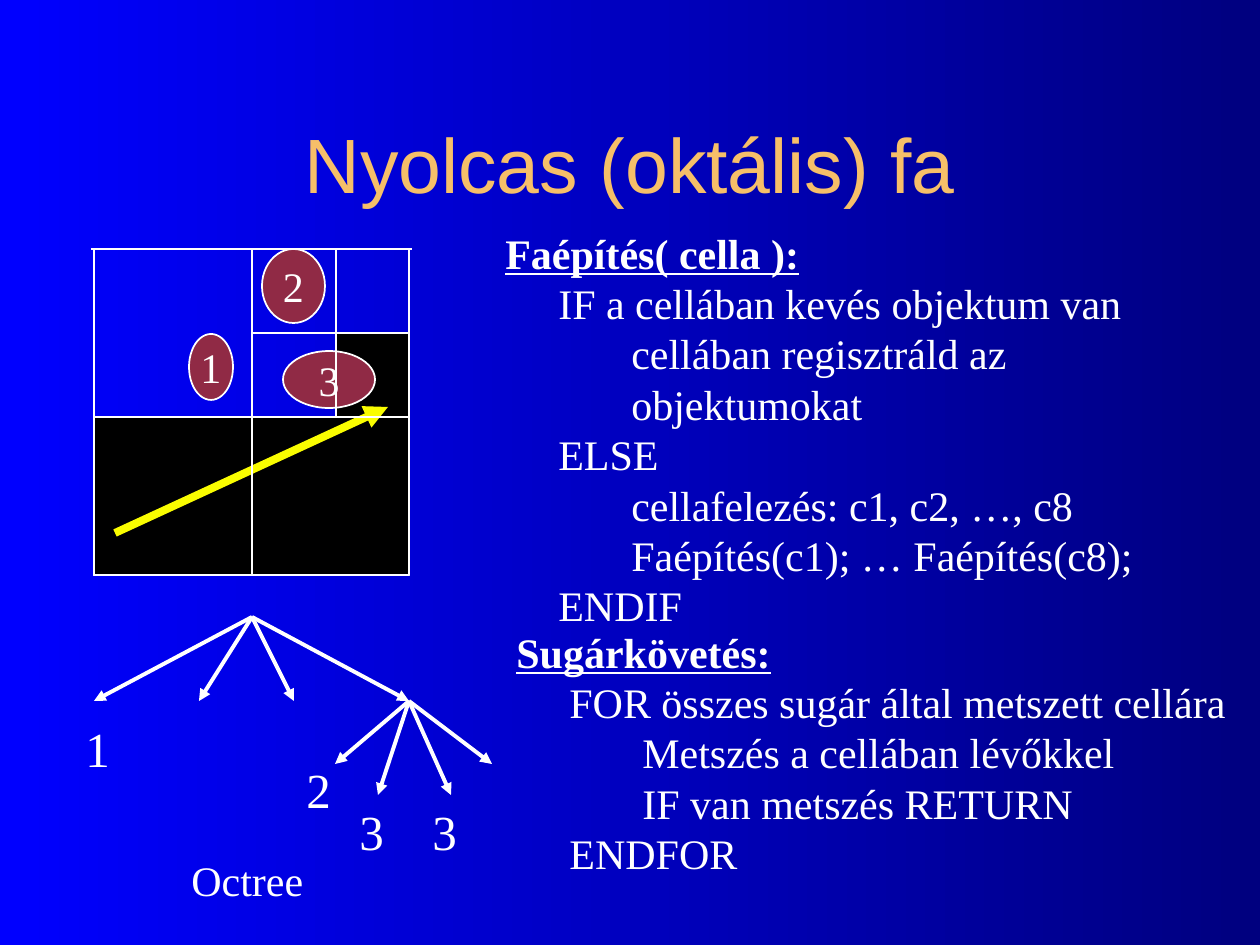
from dataclasses import dataclass

from lxml import etree
from pptx import Presentation
from pptx import util as u
from pptx.dml.color import RGBColor
from pptx.enum import shapes, text
from pptx.oxml import ns

SCALE = 914400 / 126


@dataclass(frozen=True)
class Theme:
    """Colours, fonts and sizes of the slide."""
    night: str = "00007F"
    blue: str = "0000FF"
    gold: str = "F6BF69"
    white: str = "FFFFFF"
    black: str = "000000"
    wine: str = "902A45"
    yellow: str = "FAFD00"
    heading: str = "Arial"
    body: str = "Times New Roman"
    title_size: int = 44
    body_size: int = 24
    label_size: int = 28
    thin: float = 1
    branch: float = 2.25
    ray: float = 4.5


THEME = Theme()


def px(length):
    """Turn px into EMU."""
    return u.Emu(round(length * SCALE))


def rgb(code):
    """Turn a hex code into a colour."""
    return RGBColor.from_string(code)


def style(paragraph, face, size, colour):
    """Format the runs of one paragraph."""
    for run in paragraph.runs:
        run.font.name, run.font.size = face, u.Pt(size)
        run.font.color.rgb = rgb(colour)


def style_body(paragraph, size):
    """Format a white body paragraph with its fixed leading."""
    style(paragraph, THEME.body, size, THEME.white)
    paragraph.line_spacing = u.Pt(size * 1.2)


def add_label(slide, box, words, size):
    """Place a short unwrapped label."""
    frame = slide.shapes.add_textbox(*map(px, box)).text_frame
    frame.word_wrap = False
    frame.text = words
    style_body(frame.paragraphs[0], size)


def add_outlined(slide, kind, box, fill=None):
    """Place a thinly outlined shape, filled or hollow."""
    figure = slide.shapes.add_shape(kind, *map(px, box))
    figure.shadow.inherit = False
    if fill:
        figure.fill.solid()
        figure.fill.fore_color.rgb = rgb(fill)
    else:
        figure.fill.background()
    figure.line.color.rgb = rgb(THEME.white)
    figure.line.width = u.Pt(THEME.thin)
    return figure


def add_line(slide, start, end, colour, width, arrow=True):
    """Draw a straight line, with an arrowhead at its end if wanted."""
    line = slide.shapes.add_connector(
        shapes.MSO_CONNECTOR.STRAIGHT, *map(px, (*start, *end)))
    line.line.color.rgb = rgb(colour)
    line.line.width = u.Pt(width)
    if arrow:
        outline = line.line._get_or_add_ln()
        etree.SubElement(outline, ns.qn("a:tailEnd"), type="triangle")
    etree.SubElement(line._element.spPr, ns.qn("a:effectLst"))


def paint_background(slide):
    """Fill the slide from blue on the left to dark blue on the right."""
    fill = slide.background.fill
    fill.gradient()
    fill.gradient_angle = 0
    for stop, colour in zip(fill.gradient_stops, (THEME.blue, THEME.night)):
        stop.color.rgb = rgb(colour)


def place_title(slide, box, words):
    """Place the slide title."""
    title = slide.shapes.title
    title.left, title.top, title.width, title.height = map(px, box)
    title.text_frame.text = words
    title.text_frame.vertical_anchor = text.MSO_ANCHOR.MIDDLE
    heading = title.text_frame.paragraphs[0]
    heading.alignment = text.PP_ALIGN.CENTER
    style(heading, THEME.heading, THEME.title_size, THEME.gold)


def place_algorithm(slide, box, name, steps):
    """Place an algorithm: an underlined name over indented steps."""
    indents = (0, 53, 126)
    frame = slide.shapes.add_textbox(*map(px, box)).text_frame
    frame.word_wrap = False
    frame.text = "\n".join([name, *(step for _, step in steps)])
    levels = [0, *(level for level, _ in steps)]
    for paragraph, level in zip(frame.paragraphs, levels):
        properties = paragraph._p.get_or_add_pPr()
        properties.set("marL", str(px(indents[level])))
        properties.set("indent", "0")
        style_body(paragraph, THEME.body_size)
    name_font = frame.paragraphs[0].runs[0].font
    name_font.bold = name_font.underline = True


def place_cells(slide, box):
    """Draw the subdivided cells, the objects in them and the ray."""
    left, top, width, height = box
    half, quarter, lower = 158, 84, 168
    rectangle, oval = shapes.MSO_SHAPE.RECTANGLE, shapes.MSO_SHAPE.OVAL

    def at(x, y, *size):
        return (left + x, top + y, *size)

    bottom_half = at(0, lower, width, height - lower)
    visited = at(half + quarter, quarter, width - half - quarter, quarter)
    for cell in (visited, bottom_half):
        add_outlined(slide, rectangle, cell, THEME.black)
    add_line(slide, at(21, 284), at(294, 158), THEME.yellow, THEME.ray)

    objects = (("2", (168, 0, 63, 74)), ("1", (95, 85, 44, 66)),
               ("3", (189, 102, 92, 57)))
    for number, place in objects:
        frame = add_outlined(slide, oval, at(*place), THEME.wine).text_frame
        frame.word_wrap = False
        frame.vertical_anchor = text.MSO_ANCHOR.MIDDLE
        frame.text = number
        frame.paragraphs[0].alignment = text.PP_ALIGN.CENTER
        style_body(frame.paragraphs[0], THEME.body_size)

    add_line(slide, at(-3, 0), at(width + 3, 0), THEME.white, THEME.thin, False)
    outlines = (box, at(0, 0, half, height), bottom_half,
                at(half, 0, quarter, lower),
                at(half, 0, width - half, quarter))
    for outline in outlines:
        add_outlined(slide, rectangle, outline)


def place_tree(slide, left, top):
    """Draw the tree with its leaf numbers and its caption."""
    root, inner = (179, 0), (336, 84)
    branches = (
        (root, ((21, 84), (126, 84), (221, 84), inner)),
        (inner, ((262, 147), (305, 178), (378, 178), (419, 147))),
    )
    for (x, y), children in branches:
        for child_x, child_y in children:
            add_line(slide, (left + x, top + y),
                     (left + child_x, top + child_y),
                     THEME.white, THEME.branch)
    leaves = (("1", 0, 95), ("2", 221, 136), ("3", 274, 178), ("3", 347, 178))
    for number, x, y in leaves:
        add_label(slide, (left + x, top + y, 49, 72), number, THEME.label_size)
    add_label(slide, (left + 106, top + 231, 137, 63), "Octree", THEME.body_size)


def main():
    """Build and save the slide."""
    deck = Presentation()
    deck.slide_width, deck.slide_height = px(1260), px(945)
    slide = deck.slides.add_slide(deck.slide_layouts[5])
    paint_background(slide)
    place_title(slide, (94, 84, 1072, 158), "Nyolcas (oktális) fa")
    place_algorithm(slide, (504, 620, 735, 265), "Sugárkövetés:", (
        (1, "FOR összes sugár által metszett cellára"),
        (2, "Metszés a cellában lévőkkel"),
        (2, "IF van metszés RETURN"),
        (1, "ENDFOR")))
    place_algorithm(slide, (493, 221, 767, 365), "Faépítés( cella ):", (
        (1, "IF a cellában kevés objektum van"),
        (2, "cellában regisztráld az objektumokat"),
        (1, "ELSE"),
        (2, "cellafelezés: c1, c2, …, c8"),
        (2, "Faépítés(c1); … Faépítés(c8);"),
        (1, "ENDIF")))
    place_cells(slide, (94, 249, 315, 326))
    place_tree(slide, 73, 617)
    deck.save("out.pptx")


if __name__ == "__main__":
    main()
